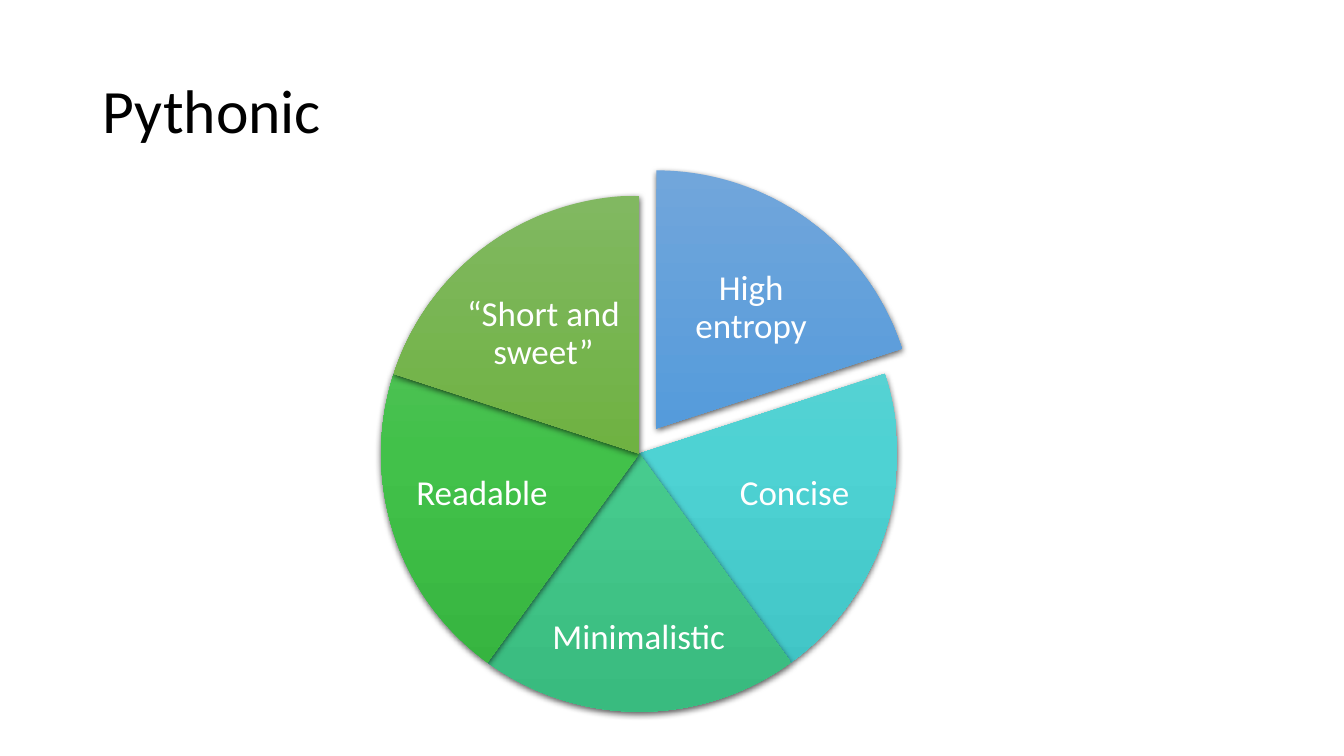
from copy import deepcopy
from pptx import Presentation
from pptx.util import Inches, Pt
from pptx.dml.color import RGBColor
from pptx.enum.shapes import MSO_SHAPE as Shape
from pptx.enum.text import MSO_ANCHOR as Anchor, PP_ALIGN as Align
from pptx.oxml import parse_xml
from pptx.oxml.ns import nsdecls, qn

BLACK = RGBColor(0, 0, 0)
WHITE = RGBColor(255, 255, 255)
TITLE = "Pythonic"
SIZE = 5.12
BASE = (3.78, 1.94)
PULLED = (3.95, 1.69)
FULL = 216
TOP = 162
SLICES = [
    ("High entropy", PULLED, (6.58, 2.46, 1.74, 1.19), ("71A6DB", "559BDB", "448ACA")),
    ("Concise", BASE, (7.12, 4.26, 1.52, 1.29), ("6CD3D3", "4ED2D3", "3EC2C3")),
    ("Minimalistic", BASE, (5.42, 5.78, 1.83, 1.1), ("67CC9A", "47CB8E", "39BB7F")),
    ("Readable", BASE, (4.02, 4.26, 1.52, 1.29), ("63C368", "42C14A", "34B23D")),
    ("“Short and sweet”", BASE, (4.52, 2.72, 1.74, 1.19), ("81B861", "6FB242", "62A336")),
]
SHADOW = (
    f'<a:outerShdw {nsdecls("a")} blurRad="{Pt(4.5)}" dist="{Pt(1.5)}" '
    'dir="5400000" algn="ctr" rotWithShape="0">'
    '<a:srgbClr val="000000"><a:alpha val="63000"/></a:srgbClr></a:outerShdw>'
)


def style(item, **values):
    for name, value in values.items():
        setattr(item, name, value)


def write(frame, text, size, color, align):
    style(frame, text=text, word_wrap=True, vertical_anchor=Anchor.MIDDLE)
    line = frame.paragraphs[0]
    style(line, alignment=align, line_spacing=0.9)
    font = line.runs[0].font
    style(font, name="Calibri", size=Pt(size))
    font.color.rgb = color


def shade(slice_, tones):
    fill = slice_.fill
    fill.gradient()
    fill.gradient_angle = 270
    stops = slice_._element.spPr.find(".//" + qn("a:gsLst"))
    stops.insert(1, deepcopy(stops[0]))
    for i, (stop, tone) in enumerate(zip(fill.gradient_stops, tones)):
        stop.position = i / 2
        stop.color.rgb = RGBColor.from_string(tone)
    slice_.line.fill.background()
    slice_.shadow.inherit = False
    slice_._element.spPr.find(qn("a:effectLst")).append(parse_xml(SHADOW))


def main():
    deck = Presentation()
    style(deck, slide_width=Inches(13.33), slide_height=Inches(7.5))
    slide = deck.slides.add_slide(deck.slide_layouts[5])
    title = slide.shapes.title
    style(title, left=Inches(0.92), top=Inches(0.4), width=Inches(11.5), height=Inches(1.45))
    write(title.text_frame, TITLE, 44, BLACK, Align.LEFT)

    pie = slide.shapes.add_group_shape().shapes
    step = FULL / len(SLICES)
    for i, (text, spot, box, tones) in enumerate(SLICES):
        slice_ = pie.add_shape(Shape.PIE, *map(Inches, (*spot, SIZE, SIZE)))
        for side in range(2):
            slice_.adjustments[side] = round((TOP + (i + side) * step) % FULL, 1)
        shade(slice_, tones)
        frame = pie.add_textbox(*map(Inches, box)).text_frame
        pads = ("left", "top", "right", "bottom")
        style(frame, **{f"margin_{pad}": Inches(0.03) for pad in pads})
        write(frame, text, 25, WHITE, Align.CENTER)

    deck.save("out.pptx")


if __name__ == "__main__":
    main()
